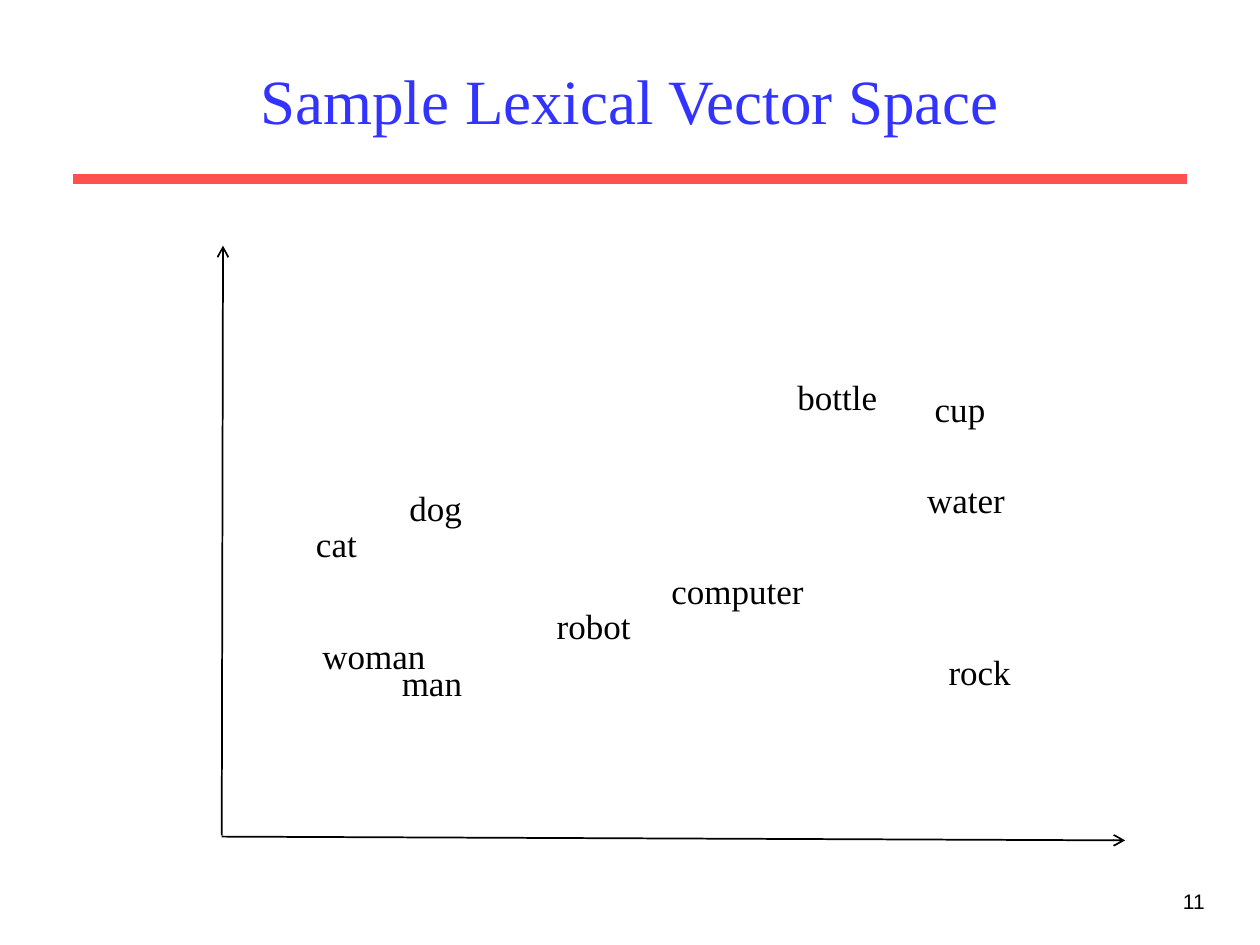
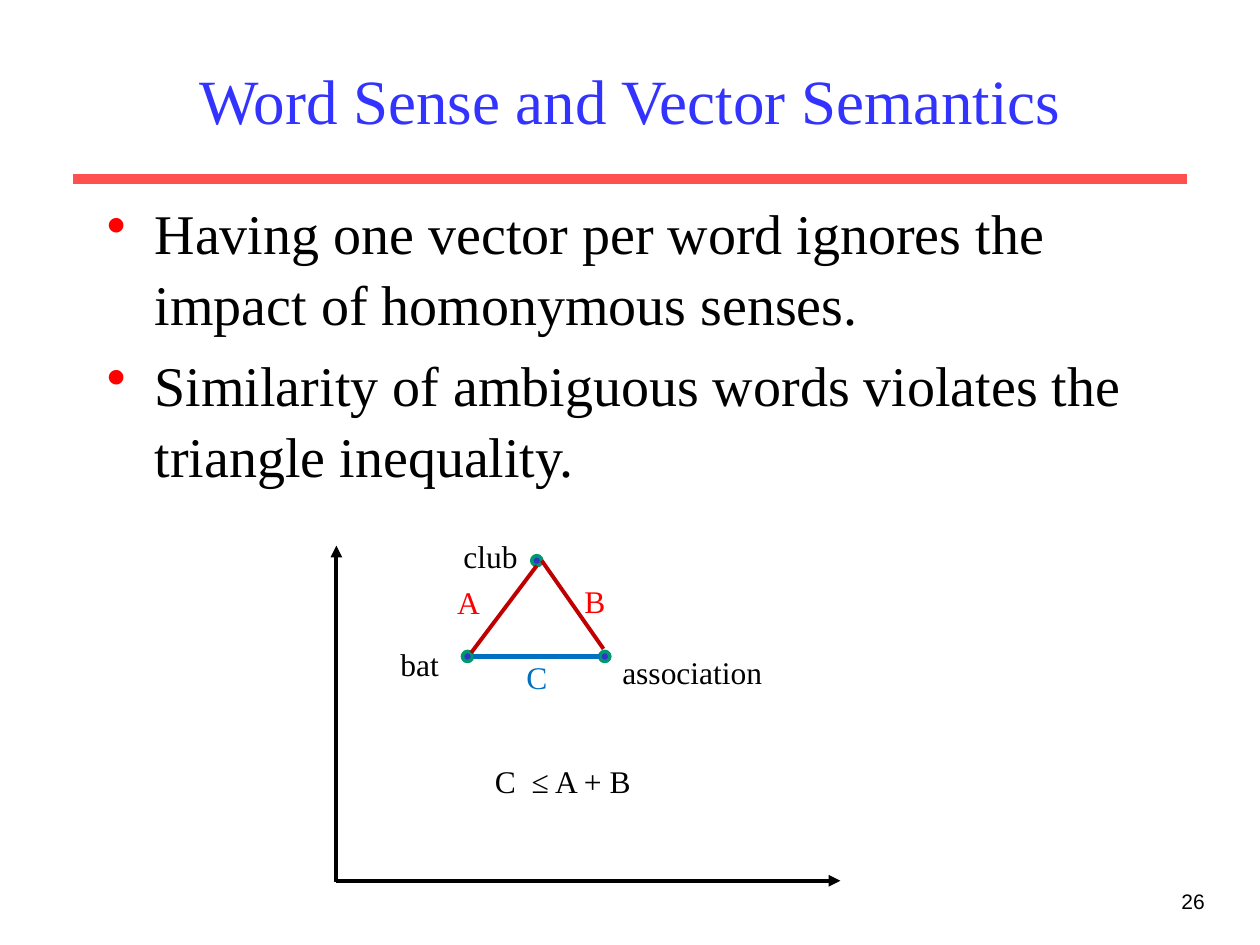
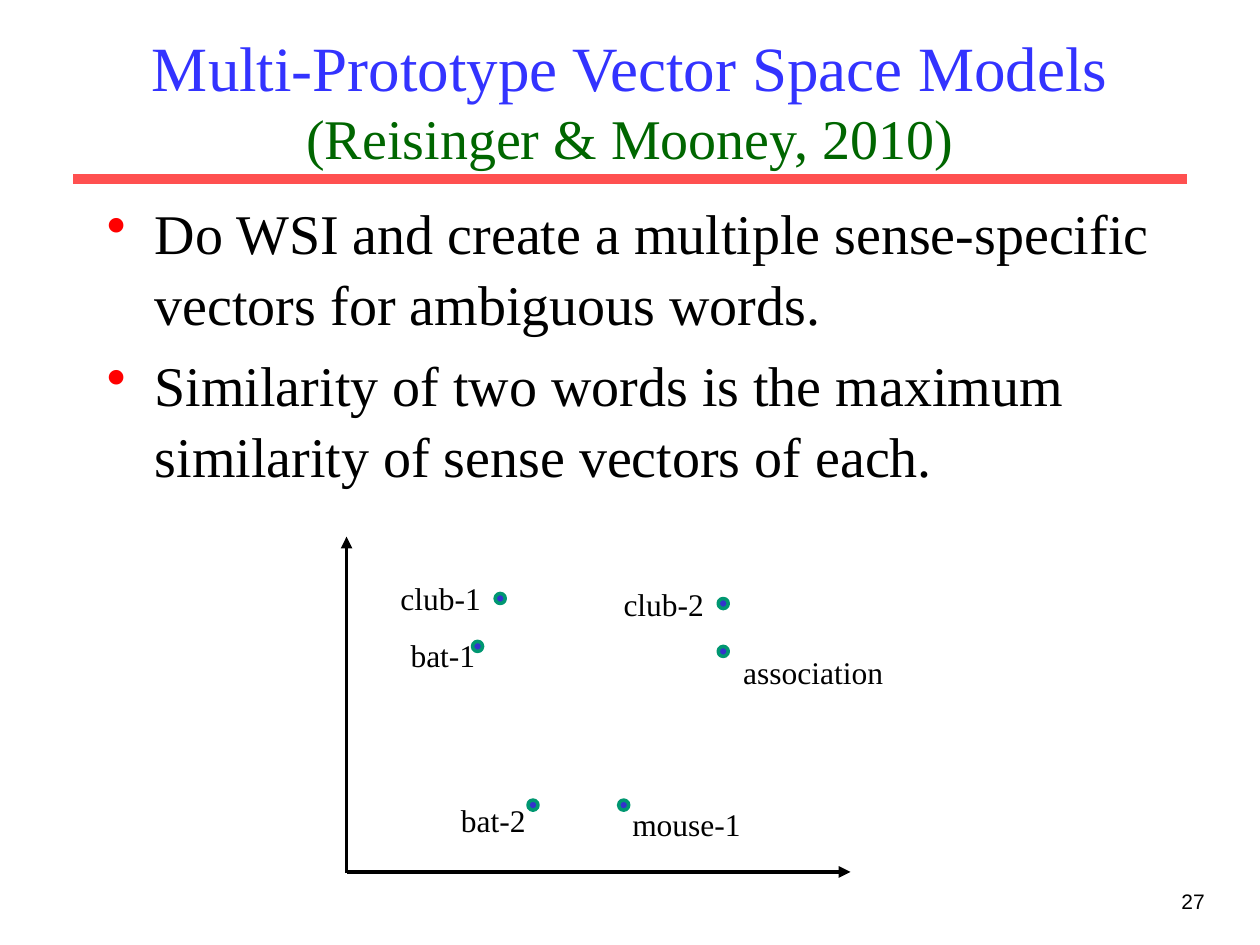
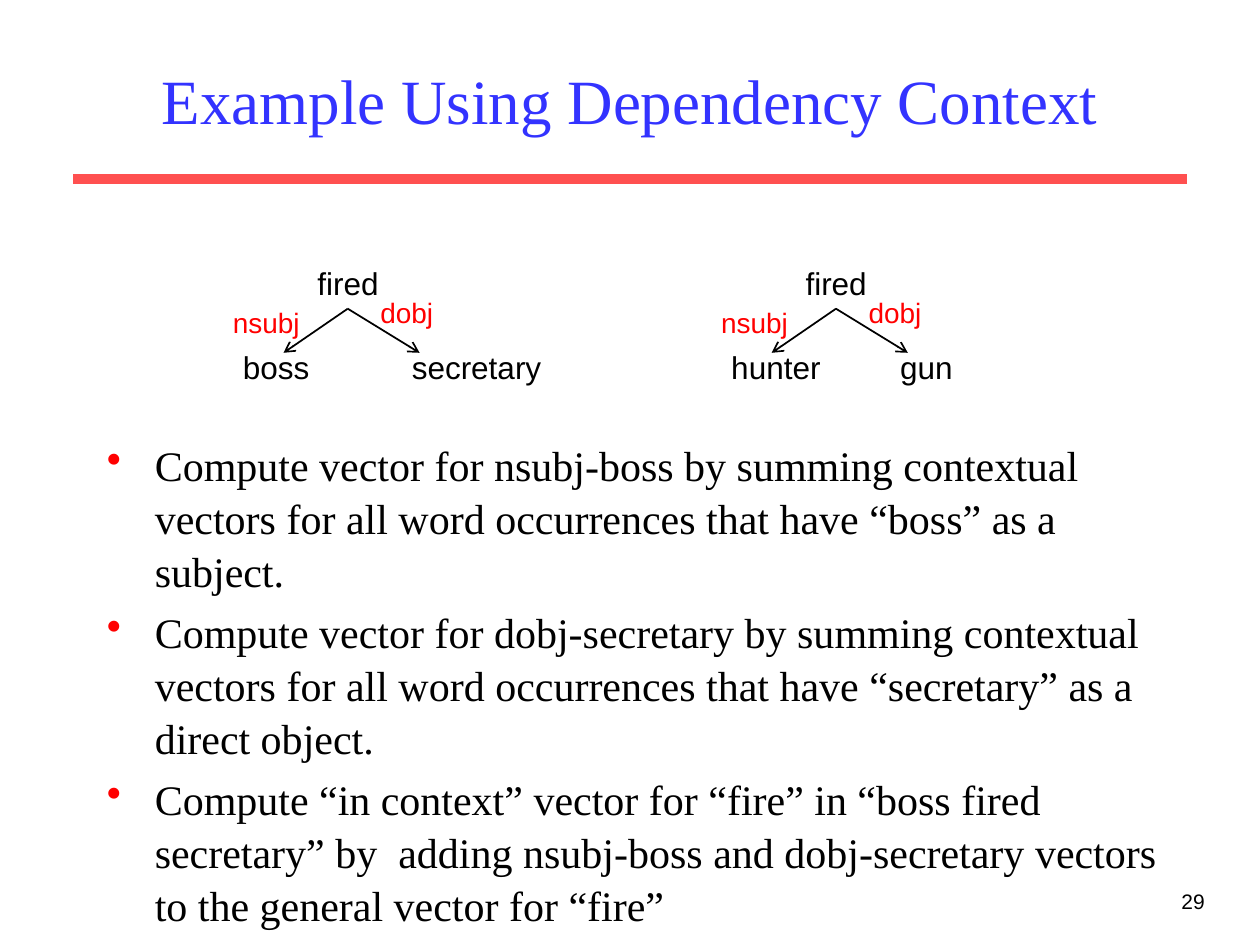
"""Build four slides on lexical vector spaces and word senses."""
from lxml.etree import SubElement
from pptx import Presentation
from pptx.dml.color import RGBColor
from pptx.enum.shapes import MSO_CONNECTOR, MSO_SHAPE
from pptx.enum.text import MSO_ANCHOR, MSO_AUTO_SIZE, PP_ALIGN
from pptx.oxml.ns import qn
from pptx.util import Inches, Pt

COLORS = {
    "title": "3333FF", "citation": "006600", "band": "FF5050", "text": "000000",
    "accent": "FF0000", "side": "C00000", "base": "0070C0",
    "dot": "3333CC", "ring": "009771",
}
SERIF, SANS = "Times New Roman", "Arial"

presentation = Presentation()
presentation.slide_width, presentation.slide_height = Inches(10), Inches(7.5)
COLUMN = presentation.slide_width / 100
ROW = presentation.slide_height / 75


def add_text(slide, box, lines, size, color="text", font=SERIF, wrap=False):
    """Add a text box, placed in grid columns and rows, and return its text frame."""
    left, top, width, height = box
    shape = slide.shapes.add_textbox(
        int(left * COLUMN), int(top * ROW), int(width * COLUMN), int(height * ROW))
    frame = shape.text_frame
    frame.text = lines
    frame.word_wrap = wrap
    frame.auto_size = MSO_AUTO_SIZE.NONE if wrap else MSO_AUTO_SIZE.SHAPE_TO_FIT_TEXT
    for paragraph in frame.paragraphs:
        paragraph.font.size = Pt(size)
        paragraph.font.name = font
        paragraph.font.color.rgb = RGBColor.from_string(COLORS[color])
    return frame


def add_line(slide, start, end, width, color="text", head=None):
    """Add a straight line between two grid points, with an optional arrowhead."""
    line = slide.shapes.add_connector(
        MSO_CONNECTOR.STRAIGHT, int(start[0] * COLUMN), int(start[1] * ROW),
        int(end[0] * COLUMN), int(end[1] * ROW))
    line.line.width = Pt(width)
    line.line.color.rgb = RGBColor.from_string(COLORS[color])
    properties = line._element.spPr
    if head:
        SubElement(properties.find(qn("a:ln")), qn("a:tailEnd"), type=head)
    SubElement(properties, qn("a:effectLst"))


headings = [
    (11, "Sample Lexical Vector Space", None),
    (26, "Word Sense and Vector Semantics", None),
    (27, "Multi-Prototype Vector Space Models", "(Reisinger & Mooney, 2010)"),
    (29, "Example Using Dependency Context", None),
]
for number, heading, citation in headings:
    slide = presentation.slides.add_slide(presentation.slide_layouts[5])
    add_line(slide, (5.8, 14.2), (94.2, 14.2), 6, "band")
    title = slide.shapes.title
    title.left, title.top = int(7.5 * COLUMN), int(2.5 * ROW)
    title.width, title.height = int(85 * COLUMN), int(10.8 * ROW)
    title.text_frame.vertical_anchor = MSO_ANCHOR.MIDDLE
    title.text_frame.auto_size = MSO_AUTO_SIZE.NONE
    paragraph = title.text_frame.paragraphs[0]
    paragraph.alignment = PP_ALIGN.CENTER
    paragraph.font.name = SERIF
    paragraph.font.size = Pt(36)
    paragraph.font.color.rgb = RGBColor.from_string(COLORS["title"])
    paragraph.add_run().text = heading
    if citation:
        paragraph.add_line_break()
        run = paragraph.add_run()
        run.text = citation
        run.font.size = Pt(32)
        run.font.color.rgb = RGBColor.from_string(COLORS["citation"])
    footer = add_text(slide, (75.8, 70, 20.8, 5), str(number), 12, font=SANS, wrap=True)
    footer.paragraphs[0].alignment = PP_ALIGN.RIGHT

space_slide, sense_slide, prototype_slide, dependency_slide = presentation.slides

bodies = [
    (sense_slide, (7.5, 15, 85, 24.2), 32, [
        "Having one vector per word ignores the impact of homonymous senses.",
        "Similarity of ambiguous words violates the triangle inequality."]),
    (prototype_slide, (7.5, 15, 85, 17), 32, [
        "Do WSI and create a multiple sense-specific vectors for ambiguous words.",
        "Similarity of two words is the maximum similarity of sense vectors of each."]),
    (dependency_slide, (7.5, 34.2, 87.5, 39.2), 24, [
        "Compute vector for nsubj-boss by summing contextual vectors for all word "
        "occurrences that have “boss” as a subject.",
        "Compute vector for dobj-secretary by summing contextual vectors for all word "
        "occurrences that have “secretary” as a direct object.",
        "Compute “in context” vector for “fire” in “boss fired secretary” by  adding "
        "nsubj-boss and dobj-secretary vectors to the general vector for “fire”"]),
]
for slide, box, size, items in bodies:
    frame = add_text(slide, box, "\n".join(items), size, wrap=True)
    for paragraph in frame.paragraphs:
        paragraph.space_before = Pt(size * 0.2)
        paragraph.line_spacing = 1.05
        properties = paragraph._p.get_or_add_pPr()
        properties.set("marL", str(Inches(0.38)))
        properties.set("indent", str(-Inches(0.38)))
        bullet_color = SubElement(properties, qn("a:buClr"))
        SubElement(bullet_color, qn("a:srgbClr"), val=COLORS["accent"])
        SubElement(properties, qn("a:buChar"), char="•")
        properties.append(properties.find(qn("a:defRPr")))

axes = [
    (space_slide, (17.6, 66.3), (17.7, 19.5), 1, "arrow"),
    (space_slide, (17.6, 66.4), (89.3, 66.7), 1, "arrow"),
    (sense_slide, (26.7, 70), (26.7, 43.3), 2.25, "triangle"),
    (sense_slide, (26.7, 69.9), (66.7, 69.9), 2.25, "triangle"),
    (prototype_slide, (27.5, 69.3), (27.5, 42.6), 2.25, "triangle"),
    (prototype_slide, (27.5, 69.2), (67.5, 69.2), 2.25, "triangle"),
]
for slide, start, end, width, head in axes:
    add_line(slide, start, end, width, head=head)

words = [
    ("dog", 31.5, 38.1, 6.2), ("cat", 24.1, 41, 5.3), ("man", 30.9, 52, 6.8),
    ("woman", 24.6, 49.9, 10.3), ("bottle", 62.3, 29.3, 8.4), ("cup", 73.2, 30.3, 6.1),
    ("water", 72.6, 37.5, 8.2), ("rock", 74.3, 51.1, 7), ("computer", 52.3, 44.7, 12.6),
    ("robot", 43.2, 47.5, 7.9),
]
for word, left, top, width in words:
    add_text(space_slide, (left, top, width, 4.4), word, 20)

dots = [
    (sense_slide, [(36.7, 51.7), (42.2, 44.1), (47.6, 51.7)]),
    (prototype_slide, [(37.5, 50.9), (39.3, 47.1), (57, 51.3), (57, 47.5),
                       (41.9, 63.5), (49.1, 63.5)]),
]
for slide, points in dots:
    for left, top in points:
        dot = slide.shapes.add_shape(
            MSO_SHAPE.OVAL, int(left * COLUMN), int(top * ROW),
            int(0.8 * COLUMN), int(0.8 * ROW))
        dot.shadow.inherit = False
        dot.fill.solid()
        dot.fill.fore_color.rgb = RGBColor.from_string(COLORS["dot"])
        dot.line.color.rgb = RGBColor.from_string(COLORS["ring"])
        dot.line.width = Pt(2)

add_line(sense_slide, (42.6, 44.9), (37.4, 51.8), 2.25, "side")
add_line(sense_slide, (43, 44.5), (47.9, 51.5), 2.25, "side")
add_line(sense_slide, (37.5, 52.1), (47.6, 52.1), 3, "base")

labels = [
    (sense_slide, "club", 35.8, 42.1, 6.4, "text"),
    (sense_slide, "bat", 30.8, 50.7, 5.1, "text"),
    (sense_slide, "association", 48.4, 51.3, 13.2, "text"),
    (sense_slide, "B", 45.4, 45.7, 3.7, "accent"),
    (sense_slide, "A", 35.3, 45.8, 3.8, "accent"),
    (sense_slide, "C", 40.8, 51.7, 3.7, "base"),
    (sense_slide, "C  ≤ A + B", 38.3, 60, 12.9, "text"),
    (prototype_slide, "club-1", 30.8, 45.5, 8.5, "text"),
    (prototype_slide, "bat-1", 31.6, 50, 7.2, "text"),
    (prototype_slide, "association", 58, 51.3, 13.2, "text"),
    (prototype_slide, "club-2", 48.5, 45.9, 8.5, "text"),
    (prototype_slide, "bat-2", 35.6, 63.1, 7.2, "text"),
    (prototype_slide, "mouse-1", 49.2, 63.4, 10.7, "text"),
]
for slide, label, left, top, width, color in labels:
    add_text(slide, (left, top, width, 4), label, 18, color)

trees = [
    (0, ("boss", 7.3), ("secretary", 12.4)),
    (38.75, ("hunter", 9.2), ("gun", 6.2)),
]
for offset, (subject, subject_width), (target, target_width) in trees:
    nodes = [("fired", 24.2, 20.5, 6.9), (subject, 18.3, 27.1, subject_width),
             (target, 31.7, 27.1, target_width)]
    for word, left, top, width in nodes:
        add_text(dependency_slide, (left + offset, top, width, 4), word, 18, font=SANS)
    for tip in (22.5, 33.3):
        add_line(dependency_slide, (27.6 + offset, 24.5), (tip + offset, 28), 1, head="arrow")
    for relation, left, top, width in [("nsubj", 17.5, 23.8, 7.4), ("dobj", 29.2, 23, 6.2)]:
        add_text(dependency_slide, (left + offset, top, width, 3.7), relation, 16,
                 "accent", SANS)

presentation.save("out.pptx")
